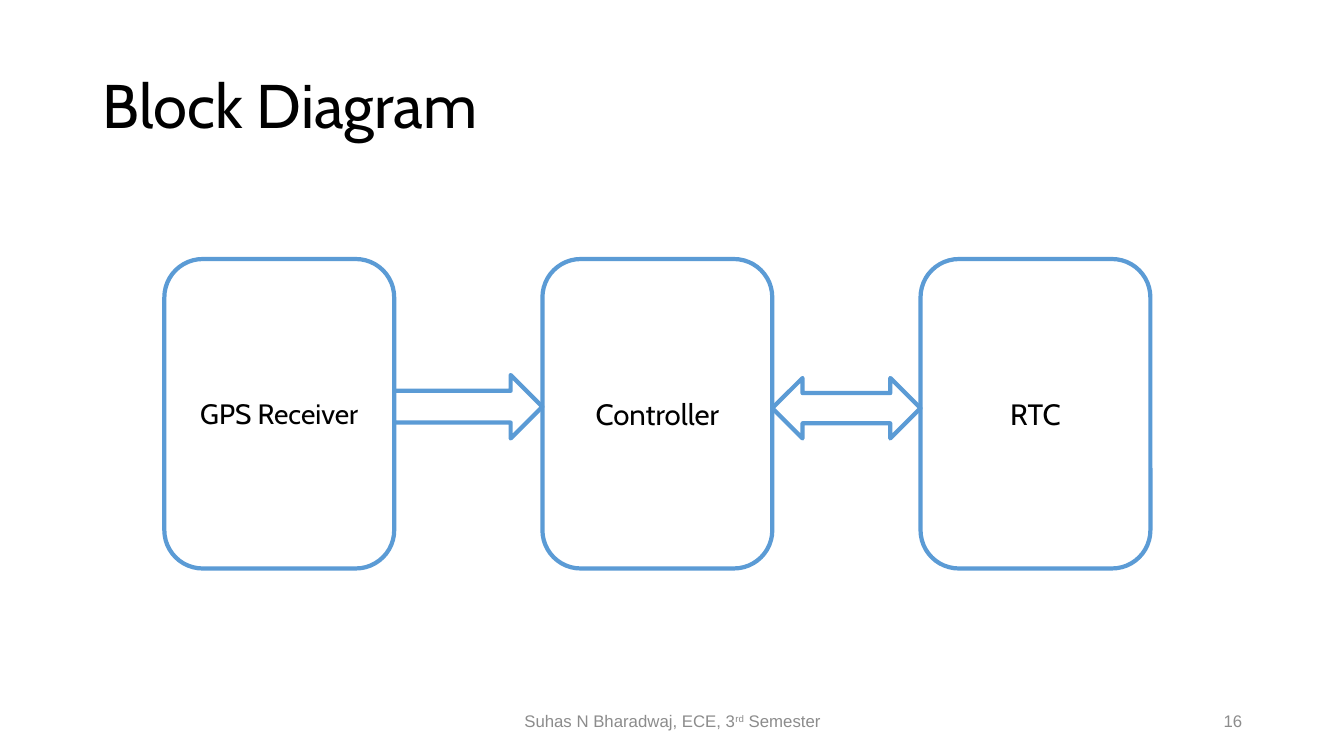
from pptx import Presentation
from pptx.dml.color import RGBColor
from pptx.enum.shapes import MSO_SHAPE as Shape
from pptx.enum.text import MSO_ANCHOR as Anchor, PP_ALIGN as Align
from pptx.util import Pt

PX = 9144  # EMU: 100 px to the inch
BLACK = RGBColor(0x00, 0x00, 0x00)
WHITE = RGBColor(0xFF, 0xFF, 0xFF)
BLUE = RGBColor(0x5B, 0x9B, 0xD5)
GREY = RGBColor(0x8C, 0x8C, 0x8C)

BLOCKS = [("GPS Receiver", 20), ("Controller", 21), ("RTC", 21)]
BLOCK_WIDTH = 228
# preset, height, offset from the top of the diagram
ARROWS = [(Shape.RIGHT_ARROW, 63, 115), (Shape.LEFT_RIGHT_ARROW, 60, 118)]


def emu(*lengths):
    return [length * PX for length in lengths]


def add_span(para, text, size, color, name, baseline=0):
    """Add one run; baseline is the superscript rise in percent."""
    span = para.add_run()
    span.text = text
    span.font.size = Pt(size)
    span.font.name = name
    span.font.bold = False
    span.font.color.rgb = color
    if baseline:
        span._r.get_or_add_rPr().set("baseline", str(baseline * 1000))


def add_outlined(page, preset, left, top, width, height):
    shape = page.shapes.add_shape(preset, *emu(left, top, width, height))
    shape.shadow.inherit = False
    shape.fill.solid()
    shape.fill.fore_color.rgb = WHITE
    shape.line.color.rgb = BLUE
    shape.line.width = Pt(3)
    return shape


def add_title(page, left, top, width, height):
    title = page.shapes.title
    title.left, title.top, title.width, title.height = emu(left, top, width, height)
    title.text_frame.vertical_anchor = Anchor.MIDDLE
    para = title.text_frame.paragraphs[0]
    para.alignment = Align.LEFT
    para.line_spacing = 0.9
    add_span(para, "Block Diagram", 44, BLACK, "Cabin")


def add_diagram(page, left, top, width, height):
    """Spread the blocks evenly over the width and fill the gaps with arrows."""
    step = (width - BLOCK_WIDTH) // (len(BLOCKS) - 1)
    for index, (label, size) in enumerate(BLOCKS):
        block = add_outlined(page, Shape.ROUNDED_RECTANGLE,
                             left + index * step, top, BLOCK_WIDTH, height)
        block.text_frame.vertical_anchor = Anchor.MIDDLE
        para = block.text_frame.paragraphs[0]
        para.alignment = Align.CENTER
        add_span(para, label, size, BLACK, "Cabin")
    for index, (preset, arrow_height, offset) in enumerate(ARROWS):
        add_outlined(page, preset, left + index * step + BLOCK_WIDTH,
                     top + offset, step - BLOCK_WIDTH, arrow_height)


def add_footer_text(page, left, top, width, height, alignment, spans):
    box = page.shapes.add_textbox(*emu(left, top, width, height))
    box.text_frame.word_wrap = True
    box.text_frame.vertical_anchor = Anchor.MIDDLE
    para = box.text_frame.paragraphs[0]
    para.alignment = alignment
    for text, baseline in spans:
        add_span(para, text, 12, GREY, "Arial", baseline)


def add_footer(page, left, top, width, height):
    add_footer_text(page, left + 350, top, 450, height, Align.CENTER,
                    [("Suhas N Bharadwaj, ECE, 3", 0), ("rd", 30), (" Semester", 0)])
    add_footer_text(page, left + width - 300, top, 300, height, Align.RIGHT, [("16", 0)])


def main():
    deck = Presentation()
    deck.slide_width, deck.slide_height = emu(1333, 750)
    page = deck.slides.add_slide(deck.slide_layouts[5])
    page.background.fill.solid()
    page.background.fill.fore_color.rgb = WHITE
    add_title(page, 92, 35, 1150, 145)
    add_diagram(page, 163, 257, 978, 307)
    add_footer(page, 92, 695, 1150, 40)
    deck.save("out.pptx")


if __name__ == "__main__":
    main()
